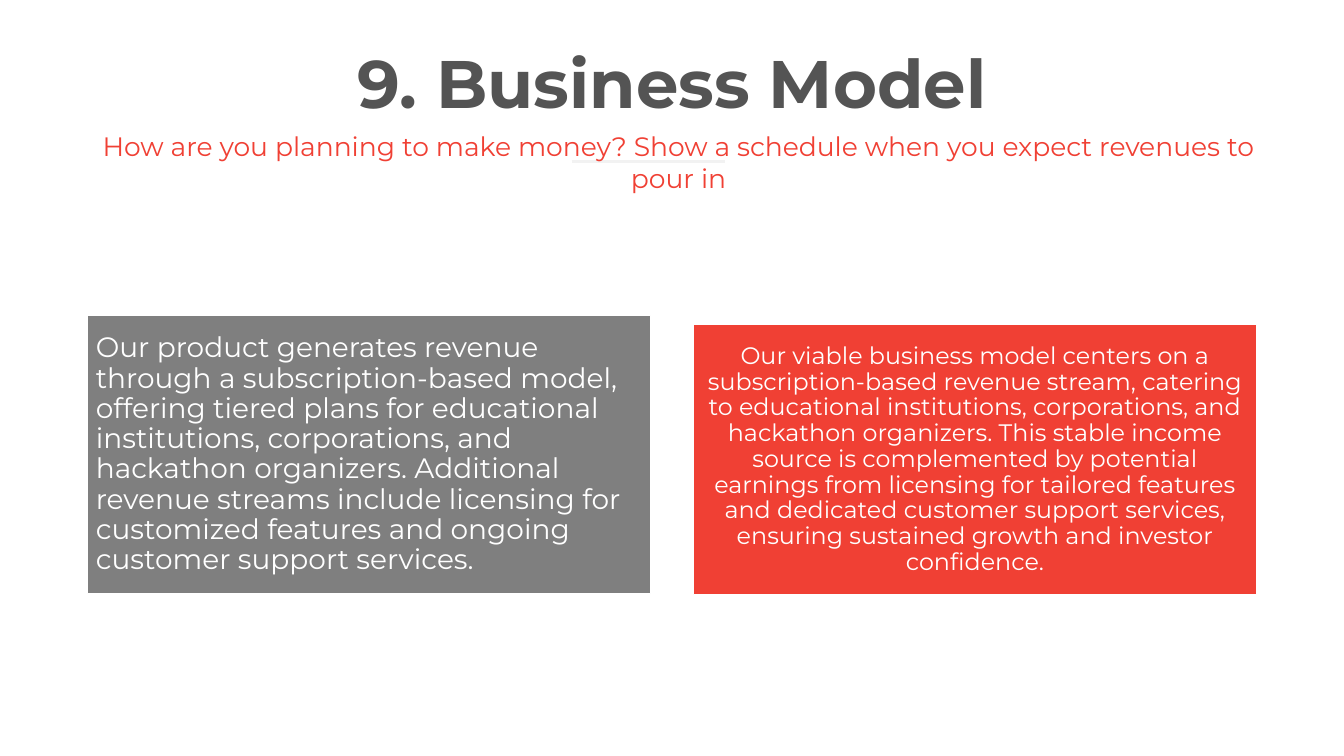
from dataclasses import dataclass

import pptx
import pptx.dml.color
import pptx.enum.shapes
import pptx.enum.text
import pptx.oxml.ns
import pptx.util
from lxml import etree

Inches = pptx.util.Inches
Pt = pptx.util.Pt
Align = pptx.enum.text.PP_ALIGN
Anchor = pptx.enum.text.MSO_ANCHOR
FONT = "Montserrat"
RED = "F04034"
WHITE = "FFFFFF"


@dataclass
class Block:
    text: str
    left: float
    top: float
    width: float
    height: float
    size: float
    color: str = WHITE
    bold: bool = False
    align: Align = Align.CENTER
    space: float = 1.0
    fill: str = ""
    inset: float = 0.0


HEADS = [
    Block("9. Business Model", 0.82, 0.52, 11.69, 0.75, 48, "545454", True, space=0.8),
    Block(
        "How are you planning to make money? Show a schedule when you "
        "expect revenues to pour in",
        0.82, 1.24, 11.82, 0.74, 19, RED,
    ),
]
CARDS = [
    Block(
        "Our product generates revenue through a subscription-based model, "
        "offering tiered plans for educational institutions, corporations, "
        "and hackathon organizers. Additional revenue streams include "
        "licensing for customized features and ongoing customer support "
        "services.",
        0.87, 3.13, 5.58, 2.76, 20,
        align=Align.LEFT, space=0.9, fill="7F7F7F", inset=0.08,
    ),
    Block(
        "Our viable business model centers on a subscription-based revenue "
        "stream, catering to educational institutions, corporations, and "
        "hackathon organizers. This stable income source is complemented by "
        "potential earnings from licensing for tailored features and "
        "dedicated customer support services, ensuring sustained growth and "
        "investor confidence.",
        6.88, 3.22, 5.58, 2.68, 17, space=0.9, fill=RED, inset=0.07,
    ),
]


def color(code: str) -> pptx.dml.color.RGBColor:
    return pptx.dml.color.RGBColor.from_string(code)


def write(frame, block: Block) -> None:
    frame.text = block.text
    frame.word_wrap = True
    para = frame.paragraphs[0]
    para.alignment = block.align
    para.line_spacing = block.space
    font = para.runs[0].font
    font.name = FONT
    font.size = Pt(block.size)
    font.bold = block.bold
    font.color.rgb = color(block.color)


def place(block: Block) -> tuple:
    return tuple(map(Inches, (block.left, block.top, block.width, block.height)))


def head(slide, block: Block) -> None:
    frame = slide.shapes.add_textbox(*place(block)).text_frame
    write(frame, block)
    frame.auto_size = pptx.enum.text.MSO_AUTO_SIZE.SHAPE_TO_FIT_TEXT


def card(slide, block: Block) -> None:
    box = slide.shapes.add_shape(
        pptx.enum.shapes.MSO_SHAPE.RECTANGLE, *place(block))
    box.shadow.inherit = False
    box.fill.solid()
    box.fill.fore_color.rgb = color(block.fill)
    box.line.color.rgb = color(WHITE)
    box.line.width = Pt(1)
    frame = box.text_frame
    write(frame, block)
    frame.vertical_anchor = Anchor.MIDDLE
    frame.margin_left = frame.margin_right = Inches(block.inset)
    frame.margin_top = frame.margin_bottom = Inches(block.inset)


def rule(slide) -> None:
    line = slide.shapes.add_connector(
        pptx.enum.shapes.MSO_CONNECTOR.STRAIGHT,
        Inches(5.67), Inches(1.6), Inches(7.19), Inches(1.6))
    line.line.color.rgb = color("F2F2F2")
    line.line.width = Pt(2)
    props = line._element.spPr
    etree.SubElement(props, pptx.oxml.ns.qn("a:effectLst"))


def main() -> None:
    deck = pptx.Presentation()
    deck.slide_width = Inches(13.33)
    deck.slide_height = Inches(7.5)
    slide = deck.slides.add_slide(deck.slide_layouts[6])

    # Rule behind the headings
    rule(slide)

    # Title and question
    for block in HEADS:
        head(slide, block)

    # Answer cards
    for block in CARDS:
        card(slide, block)

    deck.save("out.pptx")


if __name__ == "__main__":
    main()
